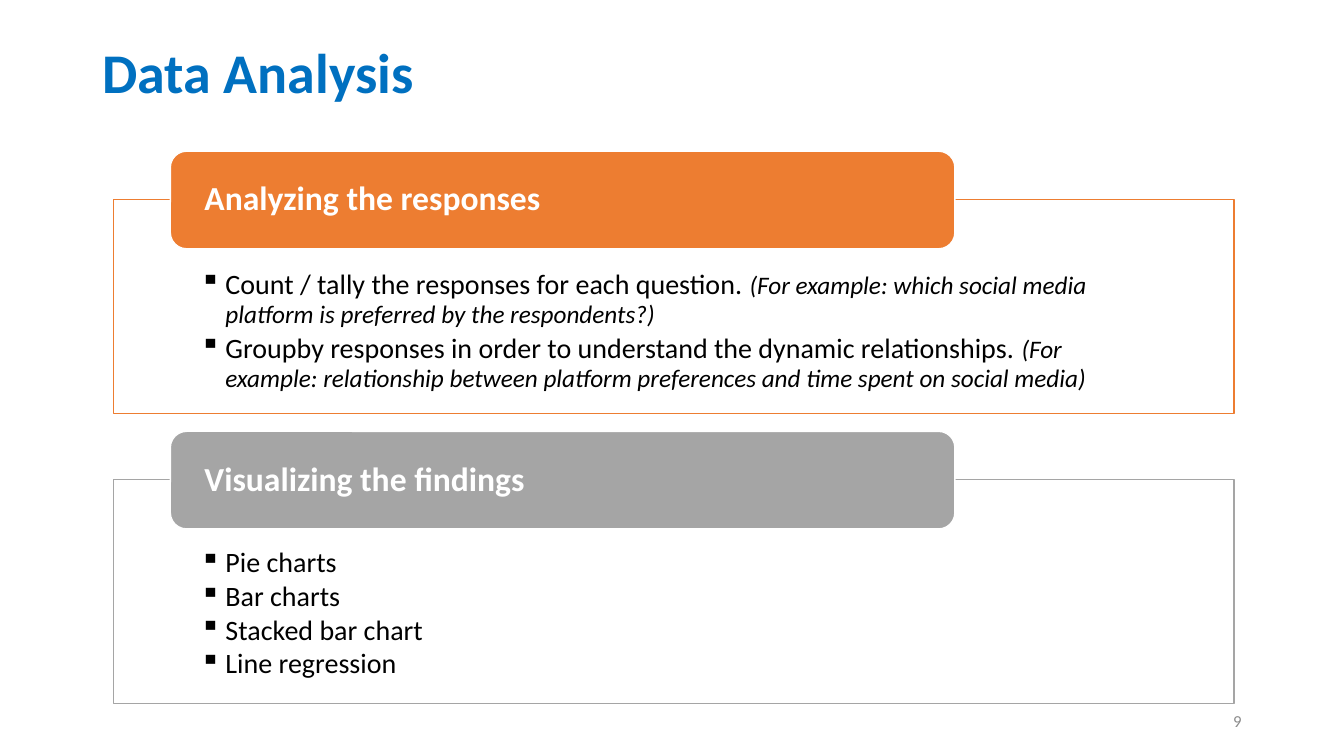
from dataclasses import dataclass

from lxml import etree
from pptx import Presentation
from pptx.dml.color import RGBColor
from pptx.enum import shapes, text
from pptx.oxml import ns
from pptx.util import Pt


@dataclass(frozen=True)
class Theme:
    font: str = "Calibri"
    blue: str = "0070C0"
    orange: str = "ED7D31"
    gray: str = "A5A5A5"
    pale: str = "8C8C8C"
    white: str = "FFFFFF"
    black: str = "000000"
    title: int = 40
    heading: int = 24
    gap: int = 22
    body: int = 20
    example: int = 18
    number: int = 12


THEME = Theme()
PANEL_LEFT, PANEL_WIDTH = 81, 800.6
TAB_LEFT, TAB_WIDTH, TAB_HEIGHT = 121.7, 560.4, 69.7
TAB_RISE = 34.6

SECTIONS = [
    ("Analyzing the responses", THEME.orange, 142.6, 152.6, [
        ("Count / tally the responses for each question.",
         "(For example: which social media platform is preferred by the respondents?)"),
        ("Groupby responses in order to understand the dynamic relationships.",
         "(For example: relationship between platform preferences and time spent on social media)"),
    ]),
    ("Visualizing the findings", THEME.gray, 342.7, 159.8, [
        ("Pie charts", ""),
        ("Bar charts", ""),
        ("Stacked bar chart", ""),
        ("Line regression", ""),
    ]),
]


def apply(target, values):
    for name, value in values.items():
        setattr(target, name, value)


def set_frame(frame, insets, anchor):
    sides = ("margin_left", "margin_top", "margin_right", "margin_bottom")
    apply(frame, {side: Pt(inset) for side, inset in zip(sides, insets)})
    apply(frame, {"word_wrap": True, "auto_size": text.MSO_AUTO_SIZE.NONE,
                  "vertical_anchor": anchor})


def set_para(para, align=text.PP_ALIGN.LEFT, spacing=0.9, after=0):
    apply(para, {"alignment": align, "line_spacing": spacing,
                 "space_before": Pt(0), "space_after": Pt(after)})


def add_span(para, words, size, color, **style):
    span = para.add_run()
    span.text = words
    apply(span.font, {"name": THEME.font, "size": Pt(size), **style})
    span.font.color.rgb = RGBColor.from_string(color)


def add_bullet(para):
    properties = para._p.get_or_add_pPr()
    apply_indent = {"marL": Pt(18), "indent": Pt(-18)}
    for name, value in apply_indent.items():
        properties.set(name, str(int(value)))
    etree.SubElement(properties, ns.qn("a:buChar")).set("char", "▪")


def add_block(page, kind, bounds, fill, line):
    block = page.shapes.add_shape(kind, *map(Pt, bounds))
    block.shadow.inherit = False
    block.fill.solid()
    block.fill.fore_color.rgb = RGBColor.from_string(fill)
    block.line.color.rgb = RGBColor.from_string(line)
    block.line.width = Pt(1)
    return block


def add_panel(page, top, height, color, items):
    panel = add_block(page, shapes.MSO_SHAPE.RECTANGLE,
                      (PANEL_LEFT, top, PANEL_WIDTH, height), THEME.white, color)
    frame = panel.text_frame
    set_frame(frame, (62, 49, 62, 11.5), text.MSO_ANCHOR.TOP)
    for index, (statement, example) in enumerate(items):
        para = frame.add_paragraph() if index else frame.paragraphs[0]
        set_para(para, after=2.5)
        add_bullet(para)
        add_span(para, statement, THEME.body, THEME.black)
        if example:
            add_span(para, " ", THEME.gap, THEME.black)
            add_span(para, example, THEME.example, THEME.black, italic=True)


def add_tab(page, top, color, heading):
    tab = add_block(page, shapes.MSO_SHAPE.ROUNDED_RECTANGLE,
                    (TAB_LEFT, top, TAB_WIDTH, TAB_HEIGHT), color, THEME.white)
    set_frame(tab.text_frame, (21, 0, 21, 0), text.MSO_ANCHOR.MIDDLE)
    para = tab.text_frame.paragraphs[0]
    set_para(para)
    add_span(para, heading, THEME.heading, THEME.white, bold=True)


def set_title(page, words):
    title = page.shapes.title
    apply(title, {"left": Pt(66), "top": Pt(28.8), "width": Pt(828), "height": Pt(104.4)})
    set_frame(title.text_frame, (7.2, 3.6, 7.2, 3.6), text.MSO_ANCHOR.TOP)
    para = title.text_frame.paragraphs[0]
    set_para(para)
    add_span(para, words, THEME.title, THEME.blue, bold=True)


def add_page_number(page, number):
    box = page.shapes.add_textbox(Pt(678), Pt(500.4), Pt(216), Pt(28.8))
    set_frame(box.text_frame, (7.2, 3.6, 7.2, 3.6), text.MSO_ANCHOR.MIDDLE)
    para = box.text_frame.paragraphs[0]
    set_para(para, align=text.PP_ALIGN.RIGHT, spacing=1.0)
    add_span(para, number, THEME.number, THEME.pale)


def main():
    deck = Presentation()
    apply(deck, {"slide_width": Pt(960), "slide_height": Pt(540)})
    page = deck.slides.add_slide(deck.slide_layouts.get_by_name("Title Only"))
    set_title(page, "Data Analysis")
    add_page_number(page, "9")
    for heading, color, top, height, items in SECTIONS:
        add_panel(page, top, height, color, items)
        add_tab(page, top - TAB_RISE, color, heading)
    deck.save("out.pptx")


main()
